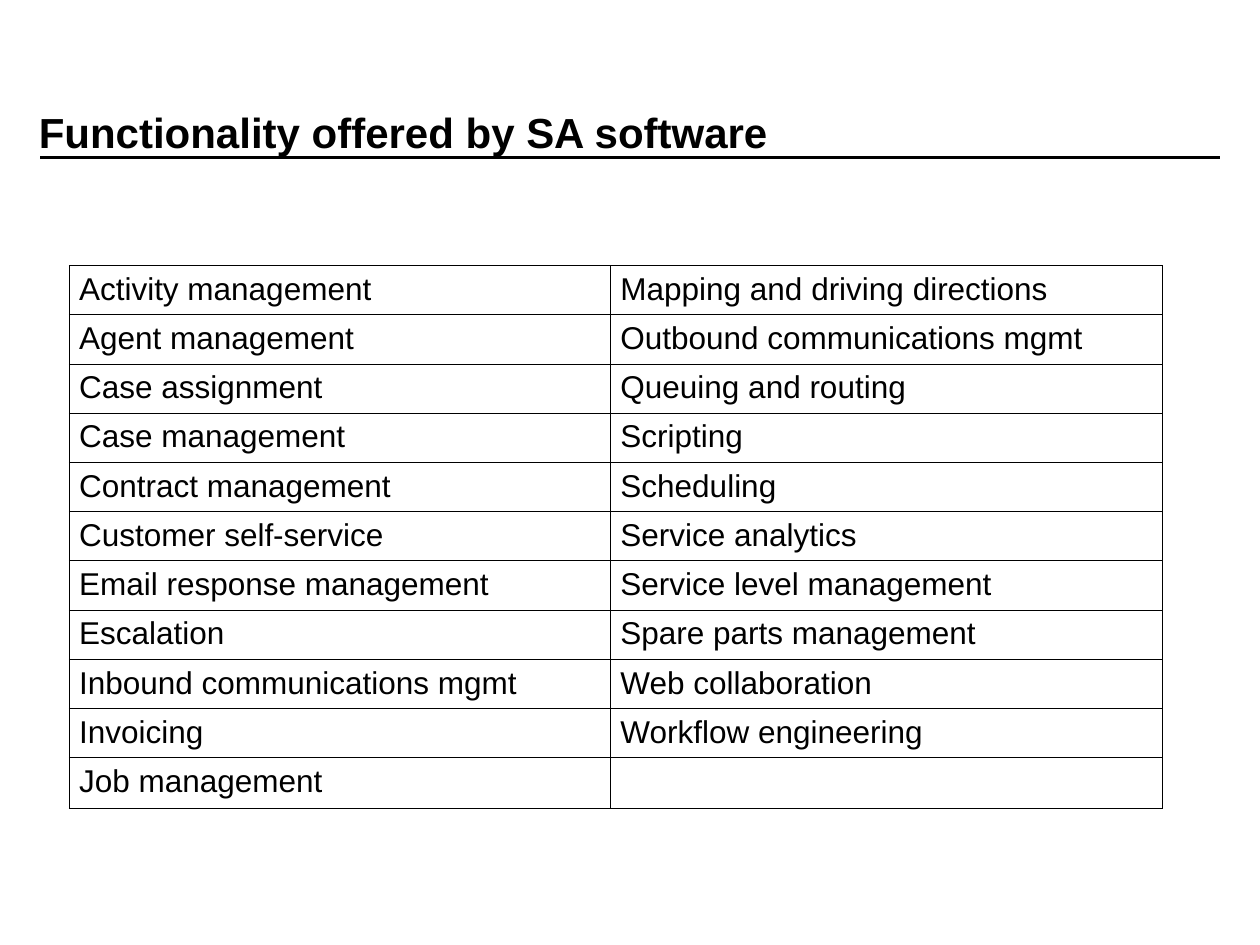
from lxml import etree
from pptx import Presentation
from pptx.dml.color import RGBColor
from pptx.enum import shapes, text
from pptx.oxml.ns import qn
from pptx.util import Pt

TITLE = "Functionality offered by SA software"
FUNCTIONS = [
    ("Activity management", "Mapping and driving directions"),
    ("Agent management", "Outbound communications mgmt"),
    ("Case assignment", "Queuing and routing"),
    ("Case management", "Scripting"),
    ("Contract management", "Scheduling"),
    ("Customer self-service", "Service analytics"),
    ("Email response management", "Service level management"),
    ("Escalation", "Spare parts management"),
    ("Inbound communications mgmt", "Web collaboration"),
    ("Invoicing", "Workflow engineering"),
    ("Job management", ""),
]
COLORS = {"ink": "000000", "paper": "FFFFFF"}
COLUMN_WIDTHS = [309.4, 315]
ROW_HEIGHT = 28.13
LAST_ROW_HEIGHT = 29
BORDER_WIDTH = 0.45


def color(name):
    return RGBColor.from_string(COLORS[name])


def format_font(paragraph, size, bold=False):
    paragraph.alignment = text.PP_ALIGN.LEFT
    font = paragraph.font
    font.name = "Arial"
    font.size = Pt(size)
    font.bold = bold
    font.color.rgb = color("ink")


def add_title(slide):
    title = slide.shapes.title
    title.left, title.top, title.width, title.height = Pt(15), Pt(30), Pt(612), Pt(90)
    frame = title.text_frame
    frame.text = TITLE
    frame.word_wrap = True
    frame.auto_size = text.MSO_AUTO_SIZE.NONE
    frame.vertical_anchor = text.MSO_ANCHOR.MIDDLE
    format_font(frame.paragraphs[0], 24, bold=True)


def add_title_rule(slide):
    rule = slide.shapes.add_connector(
        shapes.MSO_CONNECTOR.STRAIGHT, Pt(23), Pt(90), Pt(697), Pt(90))
    rule.line.color.rgb = color("ink")
    rule.line.width = Pt(2)
    etree.SubElement(rule._element.spPr, qn("a:effectLst"))
    slide.shapes.title._element.addprevious(rule._element)


def add_borders(cell):
    properties = cell._tc.get_or_add_tcPr()
    for position, side in enumerate(("lnL", "lnR", "lnT", "lnB")):
        border = etree.Element(qn(f"a:{side}"), w=str(Pt(BORDER_WIDTH)))
        fill = etree.SubElement(border, qn("a:solidFill"))
        etree.SubElement(fill, qn("a:srgbClr"), val=COLORS["ink"])
        properties.insert(position, border)


def format_cell(cell, label):
    cell.text = label
    cell.margin_left = cell.margin_right = Pt(5.6)
    cell.margin_top = cell.margin_bottom = Pt(3.6)
    cell.fill.solid()
    cell.fill.fore_color.rgb = color("paper")
    format_font(cell.text_frame.paragraphs[0], 18)
    add_borders(cell)


def add_function_table(slide):
    heights = [ROW_HEIGHT] * (len(FUNCTIONS) - 1) + [LAST_ROW_HEIGHT]
    table = slide.shapes.add_table(
        len(FUNCTIONS), len(COLUMN_WIDTHS), Pt(39.6), Pt(151.7),
        Pt(sum(COLUMN_WIDTHS)), Pt(sum(heights))).table
    table.first_row = table.horz_banding = False
    for column, width in zip(table.columns, COLUMN_WIDTHS):
        column.width = Pt(width)
    for row, height, labels in zip(table.rows, heights, FUNCTIONS):
        row.height = Pt(height)
        for cell, label in zip(row.cells, labels):
            format_cell(cell, label)


def main():
    presentation = Presentation()
    presentation.slide_width, presentation.slide_height = Pt(720), Pt(540)
    slide = presentation.slides.add_slide(presentation.slide_layouts[5])
    add_title(slide)
    add_title_rule(slide)
    add_function_table(slide)
    presentation.save("out.pptx")


if __name__ == "__main__":
    main()
